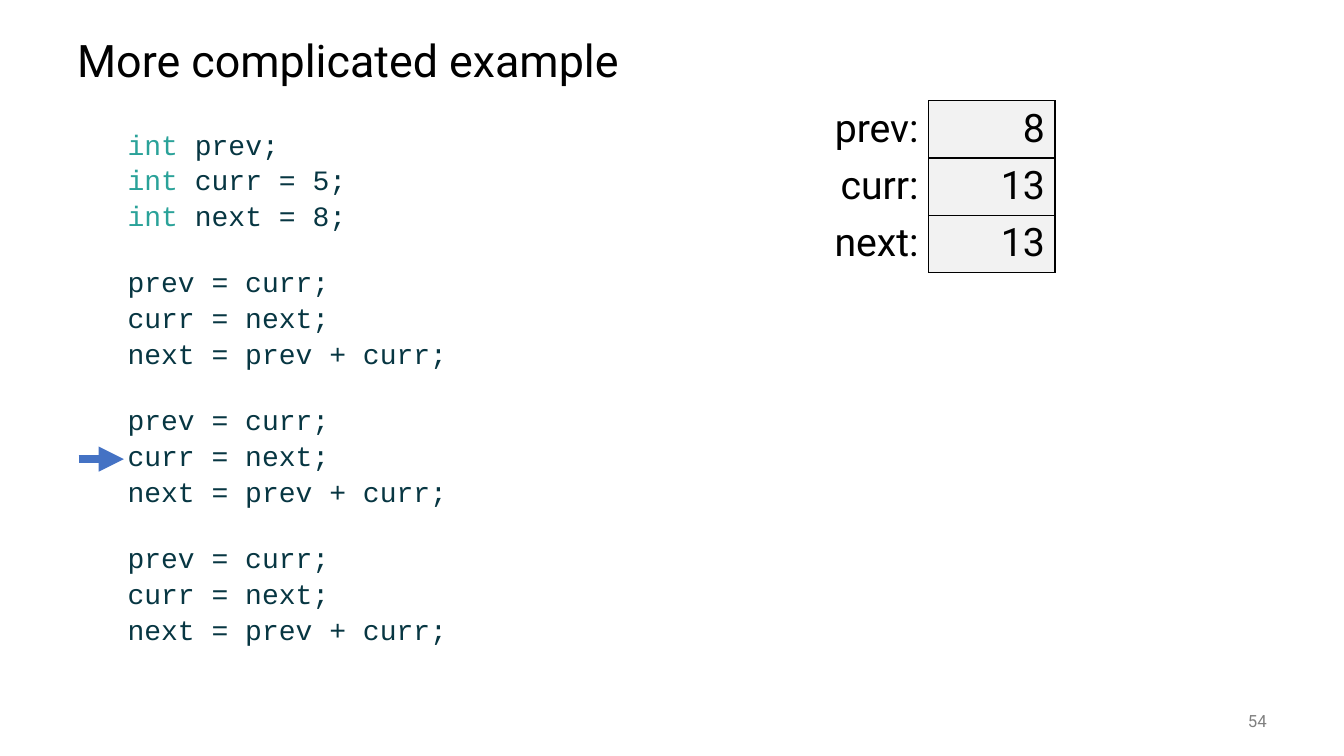
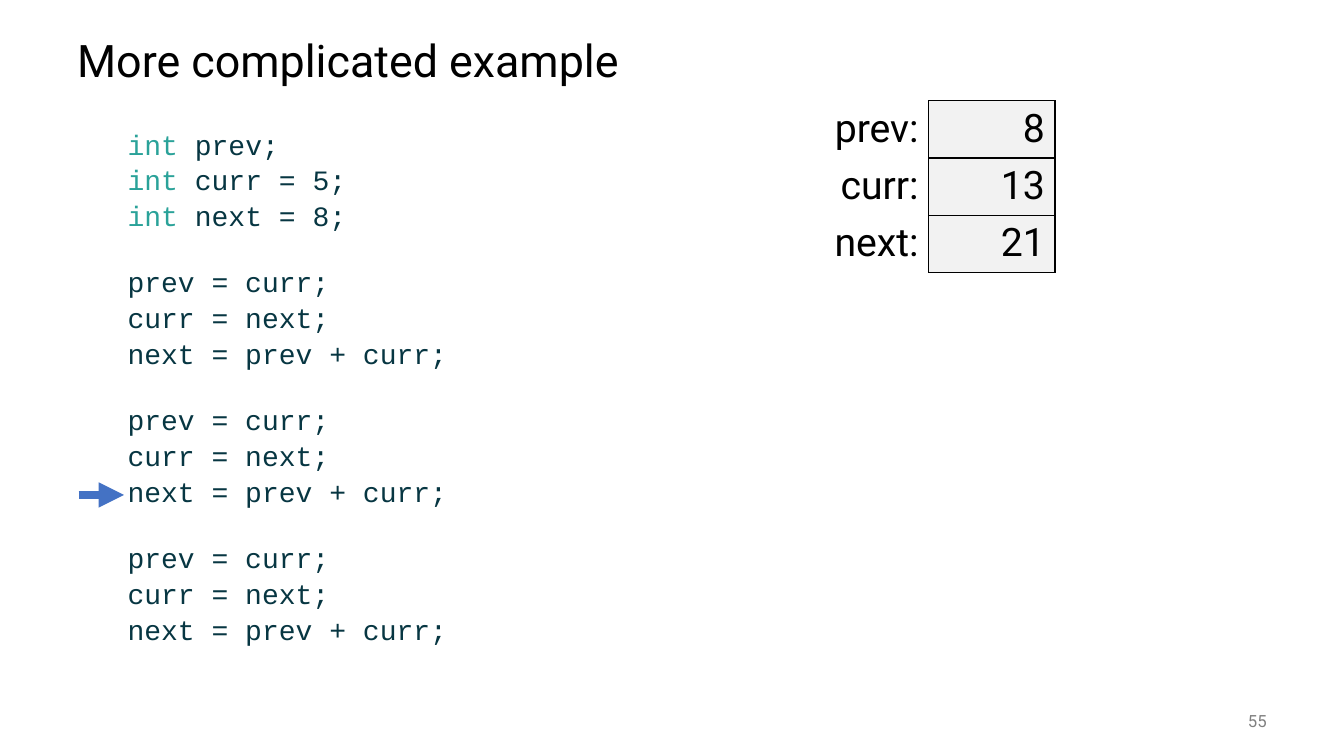
from lxml import etree
from pptx import Presentation
from pptx.dml.color import RGBColor
from pptx.enum.shapes import MSO_CONNECTOR
from pptx.enum.text import MSO_ANCHOR, PP_ALIGN
from pptx.oxml import parse_xml
from pptx.oxml.ns import nsdecls, qn
from pptx.util import Inches, Pt

COLUMNS, ROWS = 40, 30
ROW_POINTS = 7.5 * 72 / ROWS

# Listing geometry, in grid rows
FIRST_LINE, LINE_PITCH, BLOCK_GAP = 5.88, 1.42, 1.2

STEP = ["prev = curr;", "curr = next;", "next = prev + curr;"]
BLOCKS = [["int prev;", "int curr = 5;", "int next = 8;"], STEP, STEP, STEP]

# Page number, block and line of the current statement, values of the variables
STATES = [
    (54, 2, 1, {"prev:": 8, "curr:": 13, "next:": 13}),
    (55, 2, 2, {"prev:": 8, "curr:": 13, "next:": 21}),
]


def color(value):
    return RGBColor.from_string(value)


class Pages:
    """Holds the style and the current slide; lengths are grid columns and rows."""

    TEXT_FONT, CODE_FONT = "Roboto", "Courier New"
    BLACK, GRAY, PALE, BLUE = "000000", "808080", "F2F2F2", "4472C4"
    CODE, KEYWORD = "073642", "2AA299"

    def __init__(self):
        self.deck = Presentation()
        self.deck.slide_width, self.deck.slide_height = Inches(13.333), Inches(7.5)
        self.page = None

    def across(self, columns):
        return round(self.deck.slide_width * columns / COLUMNS)

    def down(self, rows):
        return round(self.deck.slide_height * rows / ROWS)

    def place(self, left, top, width, height):
        return self.across(left), self.down(top), self.across(width), self.down(height)

    def style(self, span, size, fill, font=TEXT_FONT):
        span.font.name, span.font.size = font, Pt(size)
        span.font.color.rgb = color(fill)

    def add_page(self, title, number):
        self.page = self.deck.slides.add_slide(self.deck.slide_layouts[6])
        heading = self.add_text(title, (2, 1, 36, 3), 32, self.BLACK)
        heading.line_spacing = 0.9
        footer = self.add_text(str(number), (35, 27.8, 3, 1.6), 12, self.GRAY)
        footer.alignment = PP_ALIGN.RIGHT

    def add_text(self, text, area, size, fill):
        frame = self.page.shapes.add_textbox(*self.place(*area)).text_frame
        frame.word_wrap = True
        frame.vertical_anchor = MSO_ANCHOR.MIDDLE
        frame.text = text
        para = frame.paragraphs[0]
        self.style(para.runs[0], size, fill)
        return para

    def add_code(self, blocks, area):
        frame = self.page.shapes.add_textbox(*self.place(*area)).text_frame
        frame.word_wrap = True
        for block_index, block in enumerate(blocks):
            for line_index, line in enumerate(block):
                first = block_index == line_index == 0
                para = frame.paragraphs[0] if first else frame.add_paragraph()
                para._p.get_or_add_pPr().set("marL", str(self.across(1.5)))
                para.line_spacing = 0.9
                if not first:
                    gap = BLOCK_GAP * ROW_POINTS if line_index == 0 else 0
                    para.space_before = Pt(4 + gap)
                keyword, found, rest = line.partition("int ")
                parts = [(found, self.KEYWORD), (rest, self.CODE)] if found else [(line, self.CODE)]
                for text, fill in parts:
                    span = para.add_run()
                    span.text = text
                    self.style(span, 20, fill, self.CODE_FONT)

    def add_variables(self, values, area):
        table = self.page.shapes.add_table(len(values), 2, *self.place(*area)).table
        table.first_row = table.horz_banding = False
        for row, (name, value) in enumerate(values.items()):
            label, number = table.cell(row, 0), table.cell(row, 1)
            self.fill_cell(label, name, "R")
            label.fill.background()
            self.fill_cell(number, str(value), "LRTB")
            number.fill.solid()
            number.fill.fore_color.rgb = color(self.PALE)

    def fill_cell(self, cell, text, sides):
        cell.text_frame.text = text
        para = cell.text_frame.paragraphs[0]
        para.alignment = PP_ALIGN.RIGHT
        self.style(para.runs[0], 28, self.BLACK)
        for side in sides:
            cell._tc.get_or_add_tcPr().append(parse_xml(
                f'<a:ln{side} {nsdecls("a")} w="{Pt(1)}"><a:solidFill>'
                f'<a:srgbClr val="{self.BLACK}"/></a:solidFill></a:ln{side}>'))

    def add_pointer(self, block, line):
        lines_above = sum(len(lines) for lines in BLOCKS[:block]) + line
        level = self.down(FIRST_LINE + lines_above * LINE_PITCH + block * BLOCK_GAP)
        arrow = self.page.shapes.add_connector(
            MSO_CONNECTOR.STRAIGHT, self.across(2.34), level, self.across(3.69), level)
        arrow.line.color.rgb = color(self.BLUE)
        arrow.line.width = Pt(6)
        etree.SubElement(arrow.line._get_or_add_ln(), qn("a:tailEnd"), type="triangle")
        etree.SubElement(arrow._element.spPr, qn("a:effectLst"))


def main():
    pages = Pages()
    for number, block, line, values in STATES:
        pages.add_page("More complicated example", number)
        pages.add_code(BLOCKS, (2, 5, 36, 22))
        pages.add_variables(values, (23.88, 4, 7.52, 6.67))
        pages.add_pointer(block, line)
    pages.deck.save("out.pptx")


if __name__ == "__main__":
    main()
